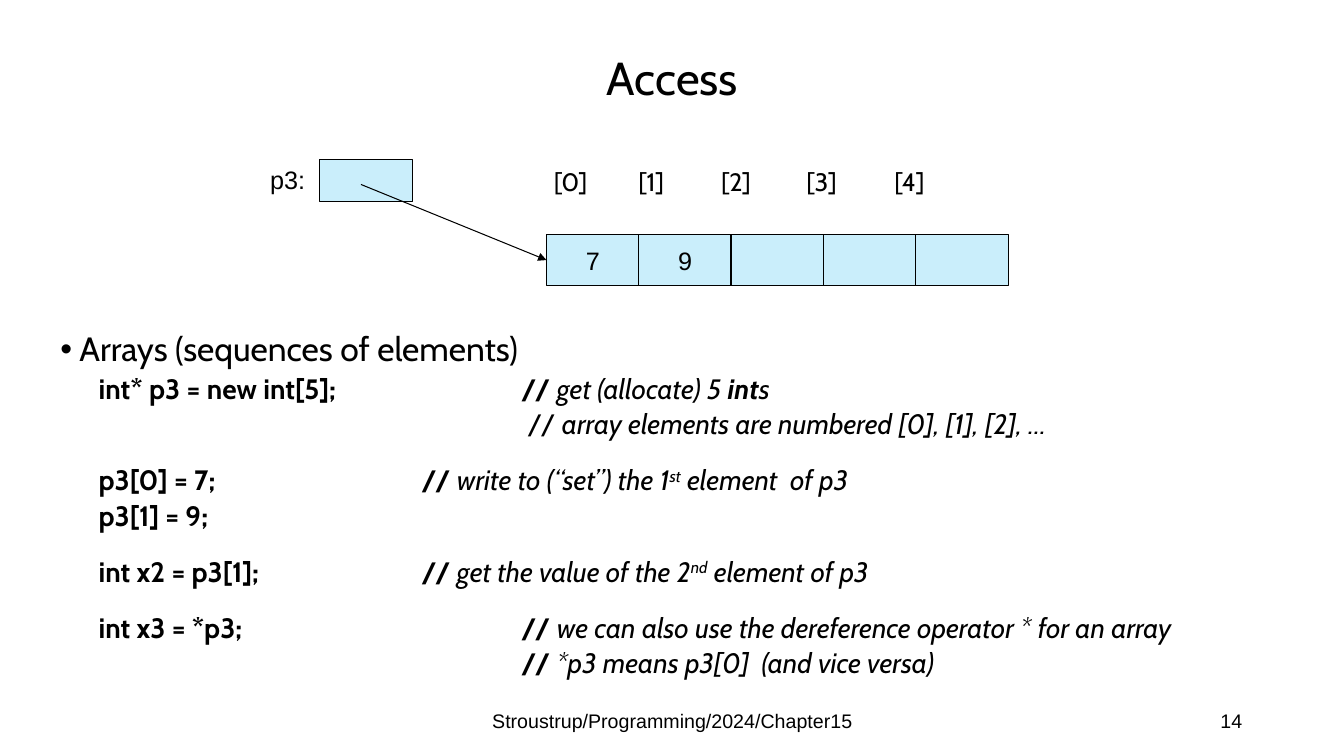
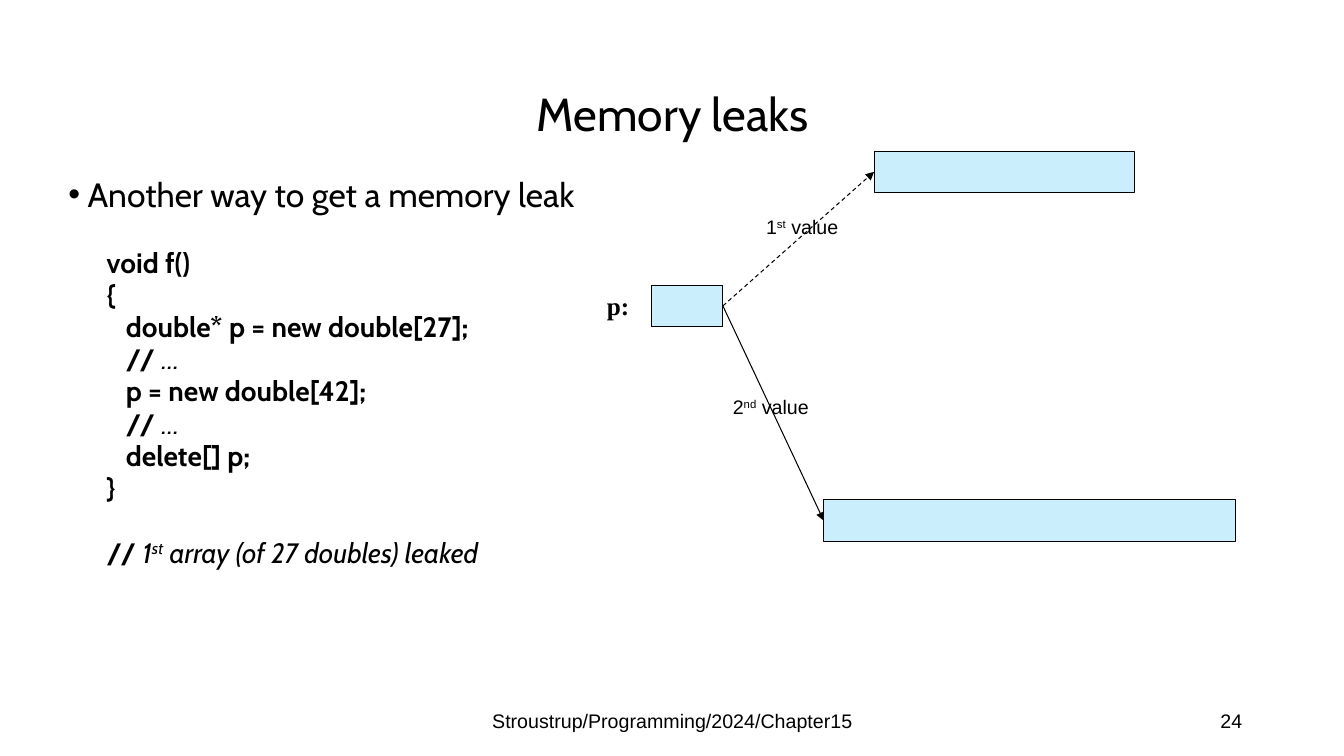
from lxml import etree
from pptx import Presentation
from pptx.dml.color import RGBColor
from pptx.enum import dml, shapes, text
from pptx.oxml import ns
from pptx.util import Inches, Pt

BLACK = RGBColor(0x00, 0x00, 0x00)
PALE_BLUE = RGBColor(0xCA, 0xEE, 0xFB)
BODY_FONT, LABEL_FONT, SERIF_FONT = "Cabin", "Arial", "Times New Roman"
FOOTER = "Stroustrup/Programming/2024/Chapter15"

LEFT, CENTER, RIGHT = text.PP_ALIGN.LEFT, text.PP_ALIGN.CENTER, text.PP_ALIGN.RIGHT
TOP, MIDDLE = text.MSO_ANCHOR.TOP, text.MSO_ANCHOR.MIDDLE
SIDE_LEFT, SIDE_RIGHT = 1, 3  # connection sites of a rectangle
LINE_GAP = 3.75  # points before a code line


# Text helpers: a run is (text, style), style letters b bold, i italic, ^ superscript
def add_runs(p, runs, size, font):
    for content, style in runs:
        r = p.add_run()
        r.text = content
        r.font.name, r.font.size = font, Pt(size)
        r.font.color.rgb = BLACK
        r.font.bold, r.font.italic = "b" in style, "i" in style
        if "^" in style:
            r.font._element.set("baseline", "30000")


def add_box(s, x, y, w, h, anchor=TOP):
    tf = s.shapes.add_textbox(Inches(x), Inches(y), Inches(w), Inches(h)).text_frame
    tf.word_wrap = True
    tf.vertical_anchor = anchor
    return tf


def add_label(s, x, y, w, h, runs, size, font=LABEL_FONT, align=LEFT, anchor=TOP):
    p = add_box(s, x, y, w, h, anchor).paragraphs[0]
    p.alignment = align
    add_runs(p, runs, size, font)


def add_heading(s, x, y, w, content, spacing):
    p = add_box(s, x, y, w, 0.45).paragraphs[0]
    p.line_spacing = spacing
    add_runs(p, [(content, "")], 24, BODY_FONT)
    pPr = p._p.get_or_add_pPr()
    pPr.set("marL", str(Inches(0.19)))
    pPr.set("indent", str(-Inches(0.19)))
    etree.SubElement(pPr, ns.qn("a:buFont")).set("typeface", LABEL_FONT)
    etree.SubElement(pPr, ns.qn("a:buChar")).set("char", "•")


def add_code(s, x, y, w, h, lines, spacing):
    """Each line is (points before, tab stop in inches, runs)."""
    tf = add_box(s, x, y, w, h)
    for i, (gap, tab, runs) in enumerate(lines):
        p = tf.add_paragraph() if i else tf.paragraphs[0]
        p.line_spacing = spacing
        p.space_before = Pt(gap if i else 0)
        tabs = etree.SubElement(p._p.get_or_add_pPr(), ns.qn("a:tabLst"))
        stop = etree.SubElement(tabs, ns.qn("a:tab"))
        stop.set("pos", str(Inches(tab)))
        stop.set("algn", "l")
        add_runs(p, runs, 20, BODY_FONT)


# Diagram helpers
def add_cell(s, x, y, w, h, content=""):
    sp = s.shapes.add_shape(shapes.MSO_SHAPE.RECTANGLE,
                            Inches(x), Inches(y), Inches(w), Inches(h))
    sp.shadow.inherit = False
    sp.fill.solid()
    sp.fill.fore_color.rgb = PALE_BLUE
    sp.line.color.rgb = BLACK
    sp.line.width = Pt(0.75)
    if content:
        p = sp.text_frame.paragraphs[0]
        p.alignment = CENTER
        add_runs(p, [(content, "")], 18, LABEL_FONT)
    return sp


def add_arrow(s, target, start=(0, 0), source=None, dashed=False):
    """Arrow to the left side of target, from a point or a cell's right side."""
    x, y = (Inches(v) for v in start)
    c = s.shapes.add_connector(shapes.MSO_CONNECTOR.STRAIGHT, x, y, x, y)
    if source is not None:
        c.begin_connect(source, SIDE_RIGHT)
    c.end_connect(target, SIDE_LEFT)
    c.line.color.rgb = BLACK
    c.line.width = Pt(0.75)
    if dashed:
        c.line.dash_style = dml.MSO_LINE.DASH
    ln = c.line._get_or_add_ln()
    etree.SubElement(ln, ns.qn("a:tailEnd")).set("type", "triangle")
    etree.SubElement(c._element.spPr, ns.qn("a:effectLst"))


# Shared frame: title, footer and slide number
def new_slide(prs, title, title_y, number):
    s = prs.slides.add_slide(prs.slide_layouts[6])
    add_label(s, 0.92, title_y, 11.5, 0.7, [(title, "")], 33, BODY_FONT, CENTER, MIDDLE)
    add_label(s, 4.42, 6.95, 4.5, 0.4, [(FOOTER, "")], 14, align=CENTER, anchor=MIDDLE)
    add_label(s, 9.42, 6.95, 3, 0.4, [(str(number), "")], 14, align=RIGHT, anchor=MIDDLE)
    return s


def access_slide(prs):
    s = new_slide(prs, "Access", 0.41, 14)

    # Pointer and array
    add_label(s, 2.58, 1.58, 0.67, 0.4, [("p3:", "")], 18)
    add_cell(s, 3.17, 1.58, 0.92, 0.42)
    cells = [add_cell(s, 5.42 + 0.915 * i, 2.33, 0.92, 0.5, value)
             for i, value in enumerate(["7", "9", "", "", ""])]
    add_arrow(s, cells[0], start=(3.58, 1.83))
    for i, center in enumerate([5.66, 6.46, 7.3, 8.15, 9.02]):
        add_label(s, center - 0.4, 1.6, 0.8, 0.4, [(f"[{i}]", "")], 18,
                  BODY_FONT, CENTER, MIDDLE)

    # Code with comments in two columns
    near, far, block_gap = 3.2, 4.19, 18.5
    add_heading(s, 0.5, 3.25, 11.5, "Arrays (sequences of elements)", 0.9)
    add_code(s, 0.88, 3.67, 11.12, 3.2, [
        (0, far, [("int* p3 = new int[5];\t// ", "b"), ("get (allocate) 5 ", "i"),
                  ("int", "bi"), ("s", "i")]),
        (LINE_GAP, far, [("\t // ", ""),
                         ("array elements are numbered [0], [1], [2], …", "i")]),
        (block_gap, near, [("p3[0] = 7;\t// ", "b"), ("write to (“set”) the 1", "i"),
                           ("st", "i^"), (" element  of p3", "i")]),
        (LINE_GAP, near, [("p3[1] = 9;", "b")]),
        (block_gap, near, [("int x2 = p3[1];\t// ", "b"), ("get the value of the 2", "i"),
                           ("nd", "i^"), (" element of p3", "i")]),
        (block_gap, far, [("int x3 = *p3;\t// ", "b"),
                          ("we can also use the dereference operator * for an array", "i")]),
        (LINE_GAP, far, [("\t// ", "b"), ("*p3 means p3[0]  (and vice versa)", "i")]),
    ], 0.9)


def memory_leaks_slide(prs):
    s = new_slide(prs, "Memory leaks", 0.77, 24)

    # Code
    body_tab = 0.19
    code = [[("void f()", "b")],
            [("{", "b")],
            [("\tdouble* p = new double[27];", "b")],
            [("\t// ", "b"), ("…", "i")],
            [("\tp = new double[42];", "b")],
            [("\t// ", "b"), ("…", "i")],
            [("\tdelete[] p;", "b")],
            [("}", "b")]]
    lines = [(LINE_GAP, body_tab, runs) for runs in code]
    lines.append((27, body_tab, [("// ", "b"), ("1", "i"), ("st", "i^"),
                                 (" array (of 27 doubles) leaked", "i")]))
    add_heading(s, 0.58, 1.75, 6.25, "Another way to get a memory leak", 0.8)
    add_code(s, 0.96, 2.45, 5.8, 3.8, lines, 0.8)

    # Pointer with its first and second target
    add_label(s, 5.92, 2.83, 0.71, 0.4, [("p:", "b")], 18, SERIF_FONT)
    pointer = add_cell(s, 6.46, 2.83, 0.71, 0.41)
    second = add_cell(s, 8.17, 4.96, 4.08, 0.41)
    first = add_cell(s, 8.67, 1.5, 2.58, 0.41)
    add_arrow(s, first, source=pointer, dashed=True)
    add_arrow(s, second, source=pointer)
    for x, y, digit, suffix in [(7.17, 3.87, "2", "nd"), (7.5, 2.08, "1", "st")]:
        add_label(s, x, y, 1.6, 0.33, [(digit, ""), (suffix, "^"), (" value", "")], 14)


def main():
    prs = Presentation()
    prs.slide_width, prs.slide_height = Inches(13.33), Inches(7.5)
    access_slide(prs)
    memory_leaks_slide(prs)
    prs.save("out.pptx")


if __name__ == "__main__":
    main()
